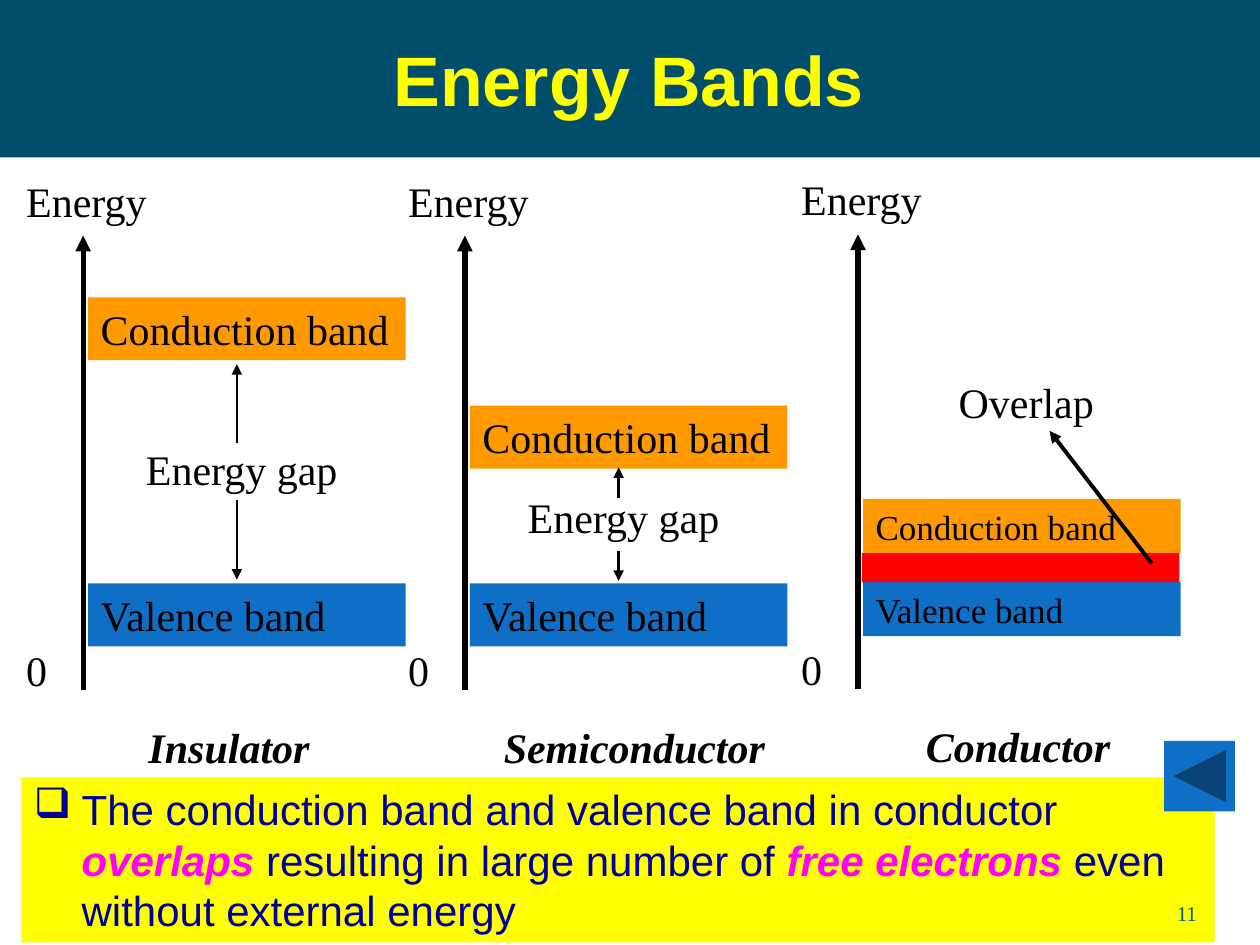
import pptx
import pptx.util
import pptx.dml.color
import pptx.enum.shapes
import pptx.enum.text
import pptx.oxml.ns
from lxml import etree
from pptx.util import Inches

COLORS = {
    "header": "004E6C", "yellow": "FFFF00", "conduction": "FF9900",
    "valence": "0F6FC6", "overlap": "FF0000", "black": "000000",
    "navy": "000099", "magenta": "FF00FF", "number": "045D75",
}
SHAPES = pptx.enum.shapes.MSO_SHAPE
ANCHORS = pptx.enum.text.MSO_ANCHOR
ALIGNMENTS = pptx.enum.text.PP_ALIGN


def color(name):
    """Return the named colour."""
    return pptx.dml.color.RGBColor.from_string(COLORS[name])


def add_element(parent, tag, **attributes):
    """Append a drawing element with the given attributes."""
    return etree.SubElement(parent, pptx.oxml.ns.qn(tag), **attributes)


def set_font(font, size, name="Times New Roman", fill="black", bold=False, italic=False):
    """Format a font."""
    font.size, font.name = pptx.util.Pt(size), name
    font.bold, font.italic = bold, italic
    font.color.rgb = color(fill)


def add_label(slide, text, left, top, width, size=24, bold=False):
    """Add a text box; bold labels are italic too."""
    shape = slide.shapes.add_textbox(Inches(left), Inches(top), Inches(width), Inches(0.5))
    shape.text_frame.word_wrap = True
    paragraph = shape.text_frame.paragraphs[0]
    paragraph.text = text
    set_font(paragraph.font, size, bold=bold, italic=bold)
    return shape


def add_block(slide, fill, left, top, width, height, text="", size=24, kind=SHAPES.RECTANGLE):
    """Add a filled shape with left-aligned text."""
    shape = slide.shapes.add_shape(kind, Inches(left), Inches(top), Inches(width), Inches(height))
    shape.shadow.inherit = False
    shape.fill.solid()
    shape.fill.fore_color.rgb = color(fill)
    shape.line.fill.background()
    frame = shape.text_frame
    frame.word_wrap, frame.vertical_anchor = True, ANCHORS.TOP
    paragraph = frame.paragraphs[0]
    paragraph.alignment = ALIGNMENTS.LEFT
    if text:
        paragraph.text = text
        set_font(paragraph.font, size)
    return shape


def add_arrow(slide, start, end, width):
    """Add a black line with an arrowhead at its end."""
    arrow = slide.shapes.add_connector(
        pptx.enum.shapes.MSO_CONNECTOR.STRAIGHT, *map(Inches, start + end))
    arrow.line.color.rgb = color("black")
    arrow.line.width = pptx.util.Pt(width)
    add_element(arrow.line._get_or_add_ln(), "a:tailEnd", type="triangle")
    add_element(arrow._element.spPr, "a:effectLst")


def add_header(slide, left, top, width, height):
    """Place and format the title."""
    title = slide.shapes.title
    title.left, title.top = Inches(left), Inches(top)
    title.width, title.height = Inches(width), Inches(height)
    title.fill.solid()
    title.fill.fore_color.rgb = color("header")
    title.text_frame.vertical_anchor = ANCHORS.MIDDLE
    paragraph = title.text_frame.paragraphs[0]
    paragraph.text, paragraph.alignment = "Energy Bands", ALIGNMENTS.CENTER
    set_font(paragraph.font, 40, "Arial", "yellow", bold=True)


def add_diagram(slide, left, top, name, name_left, name_width, conduction_top,
                band_height=0.5, band_size=24):
    """Draw an energy axis, its two bands and the material name."""
    axis = left + 0.55
    add_arrow(slide, (axis, top + 4.14), (axis, top + 0.53), 3)
    add_label(slide, "0", left, top + 3.73, 0.45)
    add_label(slide, "Energy", left, top, 1.32)
    for text, fill, band_top in (("Conduction band", "conduction", conduction_top),
                                 ("Valence band", "valence", 3.29)):
        add_block(slide, fill, left + 0.59, top + band_top, 2.52, band_height, text, band_size)
    add_label(slide, name, left + name_left, top + 4.34, name_width, bold=True)


def add_gap(slide, left, top, height, label_top, label_height):
    """Label an energy gap, with arrows to the bands above and below."""
    center = left + 0.82
    add_label(slide, "Energy gap", left, top + label_top, 1.87)
    add_arrow(slide, (center, top + label_height), (center, top), 1.5)
    add_arrow(slide, (center, top + height - label_height), (center, top + height), 1.5)


def add_overlap(slide, left, top):
    """Mark the overlap of the bands with a block and a labelled arrow."""
    add_block(slide, "overlap", left, top, 2.52, 0.23)
    add_arrow(slide, (left + 2.3, top + 0.08), (left + 1.49, top - 0.97), 2.25)
    add_label(slide, "Overlap", left + 0.67, top - 1.45, 1.38)


def add_note(slide, left, top, width, height):
    """Add the bulleted conclusion."""
    shape = add_block(slide, "yellow", left, top, width, height)
    paragraph = shape.text_frame.paragraphs[0]
    properties = paragraph._p.get_or_add_pPr()
    properties.set("marL", str(Inches(0.38)))
    properties.set("indent", str(-Inches(0.38)))
    add_element(properties, "a:buChar", char="❑")
    set_font(paragraph.font, 24, "Arial", "navy")
    for text, strong in (("The conduction band and valence band in conductor ", False),
                         ("overlaps", True),
                         (" resulting in large number of ", False),
                         ("free electrons ", True),
                         ("even without external energy", False)):
        run = paragraph.add_run()
        run.text = text
        if strong:
            run.font.bold = run.font.italic = True
            run.font.color.rgb = color("magenta")


def add_footer(slide, left, top):
    """Add the slide number and the back button."""
    number = add_label(slide, "11", left, top + 1.07, 0.83, 12)
    number.height = Inches(0.4)
    frame = number.text_frame
    frame.margin_left = frame.margin_right = frame.margin_top = frame.margin_bottom = 0
    frame.vertical_anchor = ANCHORS.BOTTOM
    frame.paragraphs[0].alignment = ALIGNMENTS.RIGHT
    frame.paragraphs[0].font.color.rgb = color("number")
    add_block(slide, "valence", left + 0.57, top, 0.56, 0.56,
              kind=SHAPES.ACTION_BUTTON_BACK_OR_PREVIOUS)


def main():
    """Build the slide."""
    presentation = pptx.Presentation()
    presentation.slide_width, presentation.slide_height = Inches(10), Inches(7.5)
    slide = presentation.slides.add_slide(presentation.slide_layouts[5])
    add_header(slide, -0.02, 0, 10.02, 1.25)
    add_diagram(slide, 0.11, 1.34, "Insulator", 0.97, 1.62, 1.02)
    add_gap(slide, 1.06, 2.89, 1.71, 0.58, 0.63)
    add_diagram(slide, 3.14, 1.34, "Semiconductor", 0.76, 2.35, 1.88)
    add_gap(slide, 4.09, 3.71, 0.9, 0.14, 0.24)
    add_diagram(slide, 6.26, 1.33, "Conductor", 0.99, 1.78, 2.63, 0.43, 20)
    add_overlap(slide, 6.84, 4.39)
    add_note(slide, 0.17, 6.17, 9.47, 1.31)
    add_footer(slide, 8.67, 5.88)
    presentation.save("out.pptx")


if __name__ == "__main__":
    main()
